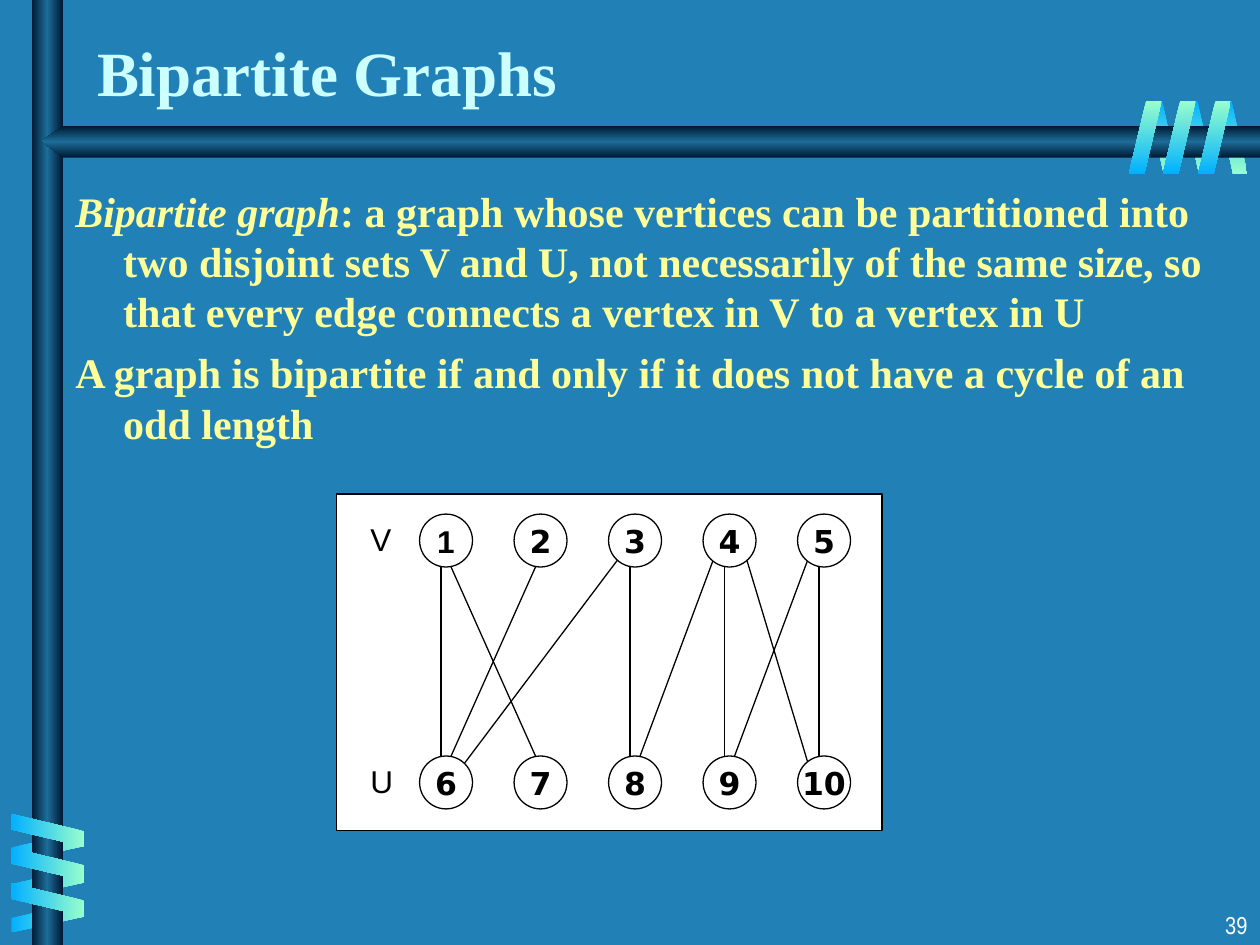
from dataclasses import dataclass

from pptx import Presentation
from pptx import util as u
from pptx.dml.color import RGBColor
from pptx.enum import shapes, text
from pptx.oxml import parse_xml
from pptx.oxml.ns import nsdecls
from pptx.oxml.xmlchemy import OxmlElement

BLUE = RGBColor(0x21, 0x81, 0xB7)
NAVY = RGBColor(0x00, 0x19, 0x32)
STEEL = RGBColor(0x1C, 0x6D, 0x9A)
SKY = RGBColor(0x01, 0xB0, 0xFF)
MINT = RGBColor(0x99, 0xFF, 0xCC)
ICE = RGBColor(0xCC, 0xFF, 0xFF)
YELLOW = RGBColor(0xFF, 0xFF, 0x99)
WHITE = RGBColor(0xFF, 0xFF, 0xFF)
BLACK = RGBColor(0x00, 0x00, 0x00)

BAR = (NAVY, STEEL, NAVY)
NODE_SIZE, NODE_LEFT, NODE_STEP = 0.42, 3.33, 0.75
TOP_ROW, BOTTOM_ROW = 4.08, 6.0

# Where an edge meets a node: offset from its left side, and inset
OUTER_LEFT, LEFT, RIGHT, OUTER_RIGHT = (0.09, 0.08), (0.17, 0), (0.25, 0), (0.34, 0.08)


@dataclass(frozen=True)
class Ribbon:
    """One strip of a coil: a parallelogram."""
    left: float
    top: float
    width: float
    rotation: int
    flipped: bool
    colors: tuple
    angle: int


@dataclass(frozen=True)
class Edge:
    upper: int
    lower: int
    start: tuple = LEFT
    end: tuple = LEFT


RIBBONS_BEHIND = (
    [Ribbon(x, 0.8, 0.24, 180, True, (SKY, MINT), 90) for x in (9.66, 9.39, 9.11)]
    + [Ribbon(0.26, y, 0.24, 90, True, (SKY, MINT), 180) for y in (6.43, 6.72, 6.99)]
)
RIBBONS_IN_FRONT = (
    [Ribbon(0.25, y, 0.26, 270, False, (MINT, SKY), 180) for y in (6.3, 6.57, 6.85)]
    + [Ribbon(x, 0.8, 0.26, 0, False, (MINT, SKY), 90) for x in (9.51, 9.23, 8.96)]
)
EDGES = [
    Edge(1, 6), Edge(1, 7, RIGHT), Edge(3, 8), Edge(4, 9), Edge(5, 10),
    Edge(2, 6, LEFT, RIGHT), Edge(3, 6, OUTER_LEFT, OUTER_RIGHT),
    Edge(4, 8, OUTER_LEFT, RIGHT), Edge(5, 9, OUTER_LEFT, RIGHT),
    Edge(4, 10, OUTER_RIGHT, OUTER_LEFT),
]


def inches(*values: float) -> list:
    return [u.Inches(value) for value in values]


def fill_gradient(shape, colors: tuple, angle: int) -> None:
    """Fill with evenly spaced colours that stay upright when the shape turns."""
    last = len(colors) - 1
    stops = "".join(
        f'<a:gs pos="{100000 * i // last}"><a:srgbClr val="{color}"/></a:gs>'
        for i, color in enumerate(colors))
    shape._element.spPr.append(parse_xml(
        f'<a:gradFill {nsdecls("a")} rotWithShape="0"><a:gsLst>{stops}</a:gsLst>'
        f'<a:lin ang="{angle * 60000}" scaled="0"/></a:gradFill>'))
    shape.line.fill.background()
    shape.shadow.inherit = False


def add_ribbon(page, ribbon: Ribbon) -> None:
    shape = page.shapes.add_shape(
        shapes.MSO_SHAPE.PARALLELOGRAM,
        *inches(ribbon.left, ribbon.top, ribbon.width, 0.58))
    shape.adjustments[0] = 0.53
    shape.rotation = ribbon.rotation
    if ribbon.flipped:
        shape._element.spPr.xfrm.set("flipH", "1")
    fill_gradient(shape, ribbon.colors, ribbon.angle)


def add_outlined(page, kind, left: float, top: float, width: float, height: float):
    shape = page.shapes.add_shape(kind, *inches(left, top, width, height))
    shape.fill.solid()
    shape.fill.fore_color.rgb = WHITE
    shape.line.color.rgb = BLACK
    shape.line.width = u.Pt(0.75)
    shape.shadow.inherit = False
    return shape


def style(para, font: str, size: float, color: RGBColor, bold: bool = False) -> None:
    for span in para.runs:
        span.font.name = font
        span.font.size = u.Pt(size)
        span.font.color.rgb = color
        span.font.bold = bold


def add_label(page, words: str, left: float, top: float, width: float, height: float):
    box = page.shapes.add_textbox(*inches(left, top, width, height))
    box.text_frame.text = words
    return box.text_frame


def node_corner(number: int) -> tuple:
    row, column = divmod(number - 1, 5)
    return NODE_LEFT + column * NODE_STEP, (TOP_ROW, BOTTOM_ROW)[row]


def add_edge(page, edge: Edge) -> None:
    (x1, y1), (x2, y2) = node_corner(edge.upper), node_corner(edge.lower)
    line = page.shapes.add_connector(
        shapes.MSO_CONNECTOR.STRAIGHT,
        *inches(x1 + edge.start[0], y1 + NODE_SIZE - edge.start[1],
                x2 + edge.end[0], y2 + edge.end[1]))
    line.line.color.rgb = BLACK
    line.line.width = u.Pt(0.75)
    line._element.spPr.append(OxmlElement("a:effectLst"))


def add_node(page, number: int) -> None:
    node = add_outlined(page, shapes.MSO_SHAPE.OVAL, *node_corner(number),
                        NODE_SIZE, NODE_SIZE)
    frame = node.text_frame
    frame.text = str(number)
    frame.word_wrap = False
    frame.vertical_anchor = text.MSO_ANCHOR.MIDDLE
    para = frame.paragraphs[0]
    para.alignment = text.PP_ALIGN.CENTER
    style(para, "Arial" if number == 1 else "DejaVu Sans", 18, BLACK, bold=True)


def add_backdrop(page) -> None:
    page.background.fill.solid()
    page.background.fill.fore_color.rgb = BLUE
    for ribbon in RIBBONS_BEHIND:
        add_ribbon(page, ribbon)
    post = page.shapes.add_shape(shapes.MSO_SHAPE.RECTANGLE, *inches(0.25, 0, 0.25, 7.5))
    fill_gradient(post, BAR, 180)
    outline = page.shapes.build_freeform(*inches(10, 1))
    outline.add_line_segments(
        [inches(*point) for point in ((0.5, 1), (0.33, 1.12), (0.5, 1.25), (10, 1.25))])
    fill_gradient(outline.convert_to_shape(), BAR, 90)
    for ribbon in RIBBONS_IN_FRONT:
        add_ribbon(page, ribbon)


def add_title(page) -> None:
    title = page.shapes.title
    title.left, title.top, title.width, title.height = inches(0.67, 0.17, 8.3, 0.75)
    title.text_frame.text = "Bipartite Graphs"
    title.text_frame.vertical_anchor = text.MSO_ANCHOR.BOTTOM
    para = title.text_frame.paragraphs[0]
    para.alignment = text.PP_ALIGN.LEFT
    style(para, "Times New Roman", 36, ICE, bold=True)


def add_definition(page) -> None:
    frame = add_label(page, "Bipartite graph", 0.5, 1.42, 9.33, 2.48)
    frame.word_wrap = True
    first, second = frame.paragraphs[0], frame.add_paragraph()
    first.add_run().text = (
        ": a graph whose vertices can be partitioned into two disjoint sets V and U, "
        "not necessarily of the same size, so that every edge connects a vertex in V "
        "to a vertex in U")
    second.text = "A graph is bipartite if and only if it does not have a cycle of an odd length"
    second.space_before = u.Pt(6)
    for para in (first, second):
        para._p.get_or_add_pPr().set("marL", str(u.Inches(0.38)))
        para._p.pPr.set("indent", str(u.Inches(-0.38)))
        style(para, "Times New Roman", 24, YELLOW, bold=True)
    first.runs[0].font.italic = True


def add_graph(page) -> None:
    add_outlined(page, shapes.MSO_SHAPE.RECTANGLE, 2.67, 3.92, 4.33, 2.67)
    for edge in EDGES:
        add_edge(page, edge)
    for number in range(1, 11):
        add_node(page, number)
    for name, top in (("V", TOP_ROW), ("U", BOTTOM_ROW)):
        frame = add_label(page, name, 2.84, top, 0.38, 0.4)
        frame.word_wrap = False
        style(frame.paragraphs[0], "Arial", 18, BLACK)


def main() -> None:
    deck = Presentation()
    deck.slide_width, deck.slide_height = inches(10, 7.5)
    page = deck.slides.add_slide(deck.slide_layouts[5])
    add_backdrop(page)
    add_title(page)
    add_graph(page)
    add_definition(page)
    # Slide number
    frame = add_label(page, "39", 7.92, 7.17, 2.08, 0.33)
    frame.paragraphs[0].alignment = text.PP_ALIGN.RIGHT
    style(frame.paragraphs[0], "Arial Narrow", 14, WHITE)
    deck.save("out.pptx")


if __name__ == "__main__":
    main()
